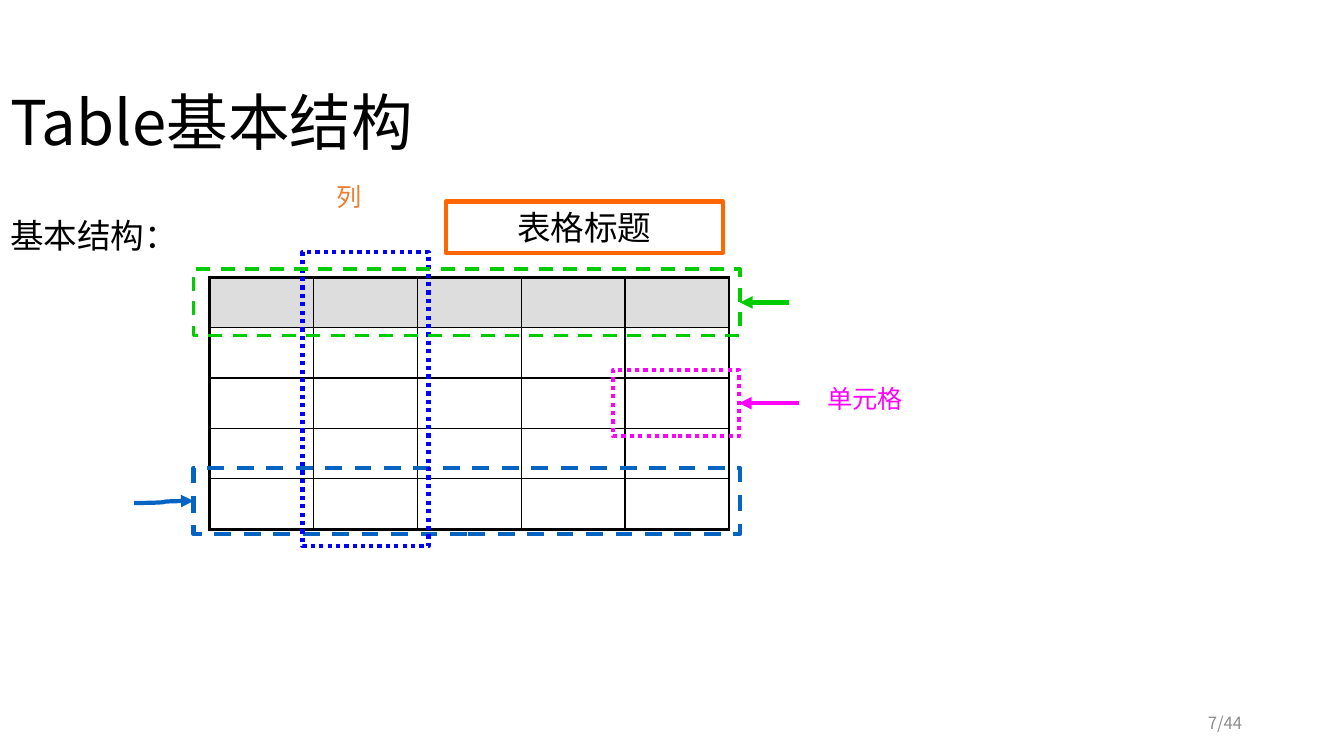
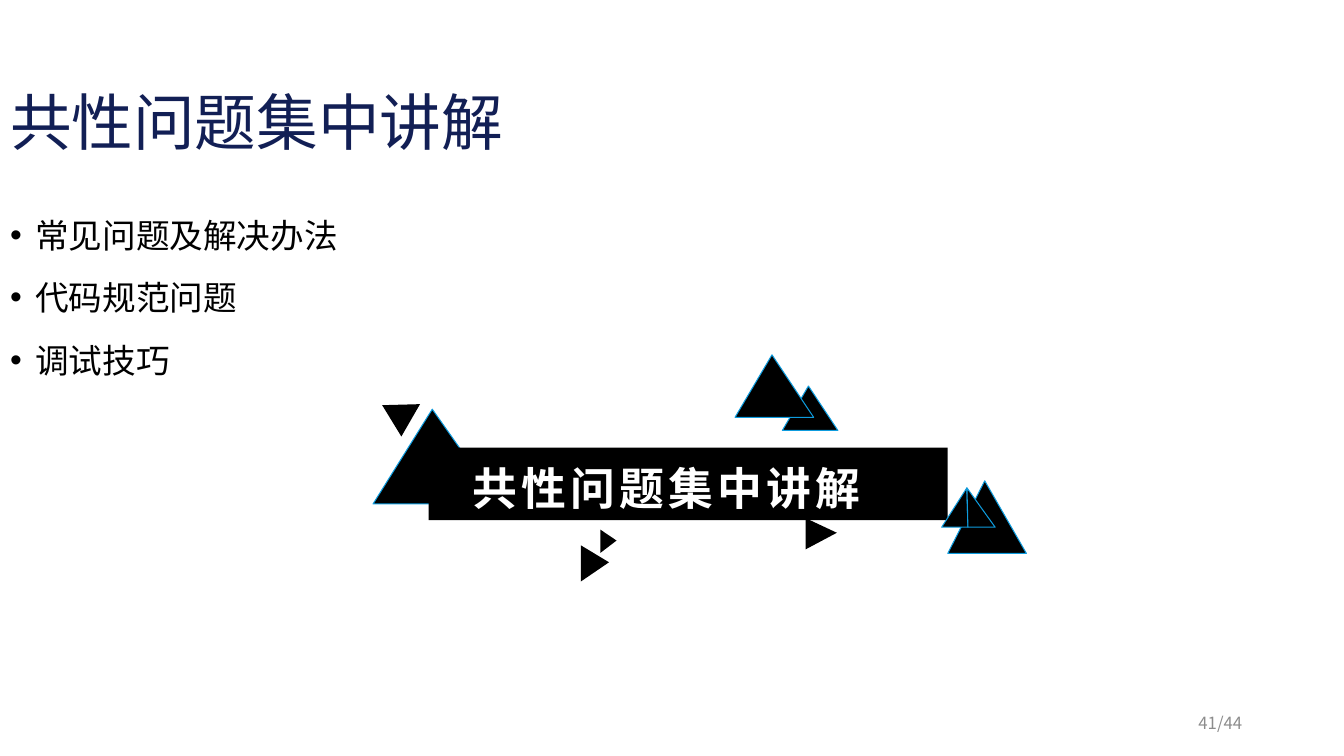
import lxml.etree
import pptx
import pptx.dml.color
import pptx.enum.dml
import pptx.enum.shapes
import pptx.enum.text
import pptx.oxml.ns
import pptx.util

PX = 9144  # 100 px to the inch
KIND = pptx.enum.shapes.MSO_SHAPE
JOIN = pptx.enum.shapes.MSO_CONNECTOR
DASH = pptx.enum.dml.MSO_LINE.DASH
DOT = pptx.enum.dml.MSO_LINE.ROUND_DOT
ALIGN = pptx.enum.text.PP_ALIGN
ANCHOR = pptx.enum.text.MSO_ANCHOR


class Theme:
    sans, mono = "Noto Sans CJK SC", "Courier New"
    black, white, gray, head = "000000", "FFFFFF", "8C8C8C", "DDDDDD"
    navy, sky, blue, pure = "121F55", "0E9CDE", "0563C1", "0000FF"
    green, pink, amber, orange = "00CC00", "FF00FF", "ED7D31", "FF6600"
    title, banner, body, label, note = 44, 32, 24, 18, 12
    thin, edge, mid, bold, hair = 1, 2.25, 2.5, 3, 0.75


# Shared places: left, top, width, height
TITLE = (0, 40, 1150, 145)
BODY = (0, 200, 1150, 476)
PAGE = (942, 695, 300, 40)
TOTAL = 44

# Slide content
TABLE = {
    "title": "Table基本结构", "color": Theme.black, "page": 7,
    "list": ["基本结构："], "bullet": False,
}
ISSUES = {
    "title": "共性问题集中讲解", "color": Theme.navy, "page": 41,
    "list": ["常见问题及解决办法", "代码规范问题", "调试技巧"], "bullet": True,
}
GRID = {"at": (208, 275), "count": 5, "cell": (103, 50)}
FRAMES = {
    "row": ((192, 464, 542, 66), Theme.blue, Theme.bold, DASH),
    "column": ((300, 250, 125, 292), Theme.pure, Theme.bold, DOT),
    "head": ((192, 267, 542, 66), Theme.green, Theme.mid, DASH),
    "cell": ((608, 367, 125, 66), Theme.pink, Theme.bold, DOT),
    "caption": ((442, 200, 275, 51), Theme.orange, Theme.bold, None),
}
ARROWS = [  # frame, start, kind, side of the frame
    ("head", (783, 300), JOIN.STRAIGHT, 3),
    ("cell", (792, 400), JOIN.STRAIGHT, 3),
    ("row", (133, 499), JOIN.CURVE, 1),
]
LABELS = [
    ("列", (275, 175, 142, 57), Theme.amber),
    ("单元格", (783, 375, 150, 57), Theme.pink),
]
CAPTION = "表格标题"
BANNER = (425, 444, 515, 72)
BACK = [  # place, turn, outlined
    ((370, 406, 125, 94), 0, True),
    ((940, 477, 78, 72), 0, True),
    ((592, 529, 23, 16), 90, False),
    ((375, 393, 37, 32), 300, False),
]
FRONT = [
    ((776, 383, 55, 44), 0, True),
    ((729, 352, 78, 62), 0, True),
    ((572, 545, 36, 28), 90, False),
    ((799, 514, 31, 31), 90, False),
]
PEAK, FOOT, ENDS = (959, 484), (960, 523), [(934, 523), (987, 523)]


def emu(*nums):
    return [round(n * PX) for n in nums]


def rgb(code):
    return pptx.dml.color.RGBColor.from_string(code)


def add(node, tag, **attrs):
    return lxml.etree.SubElement(node, pptx.oxml.ns.qn(tag), **attrs)


def write(para, text, size, color, font=Theme.sans):
    run = para.add_run()
    run.text = text
    run.font.size = pptx.util.Pt(size)
    run.font.color.rgb = rgb(color)
    run.font.name = font
    add(run.font._element, "a:ea", typeface=Theme.sans)
    return run


def place(shape, box):
    shape.left, shape.top, shape.width, shape.height = emu(*box)


def style(shape, fill=None, line=None, width=Theme.hair, dash=None):
    shape.shadow.inherit = False
    if fill:
        shape.fill.solid()
        shape.fill.fore_color.rgb = rgb(fill)
    else:
        shape.fill.background()
    if line:
        shape.line.color.rgb = rgb(line)
        shape.line.width = pptx.util.Pt(width)
        if dash:
            shape.line.dash_style = dash
    else:
        shape.line.fill.background()


def label(slide, text, box, size, color, align, font=Theme.sans):
    shape = slide.shapes.add_textbox(*emu(*box))
    shape.text_frame.word_wrap = True
    para = shape.text_frame.paragraphs[0]
    para.alignment = align
    write(para, text, size, color, font)
    return shape


def start(deck, data):
    """Add a slide with title, list and page number."""
    slide = deck.slides.add_slide(deck.slide_layouts[1])
    title, body = slide.shapes.title, slide.placeholders[1]
    place(title, TITLE)
    place(body, BODY)
    for shape, anchor in ((title, ANCHOR.MIDDLE), (body, ANCHOR.TOP)):
        shape.text_frame.vertical_anchor = anchor
        shape.text_frame.word_wrap = True
        shape.text_frame.auto_size = pptx.enum.text.MSO_AUTO_SIZE.NONE
    para = title.text_frame.paragraphs[0]
    para.alignment, para.line_spacing = ALIGN.LEFT, 1.2
    write(para, data["title"], Theme.title, data["color"])
    for i, text in enumerate(data["list"]):
        frame = body.text_frame
        para = frame.add_paragraph() if i else frame.paragraphs[0]
        para.line_spacing, para.space_before = 1.2, pptx.util.Pt(10)
        props = para._p.get_or_add_pPr()
        indent = emu(25)[0]
        props.set("marL", str(indent))
        props.set("indent", str(-indent))
        if data["bullet"]:
            add(props, "a:buFont", typeface="Arial")
            add(props, "a:buChar", char="•")
        else:
            add(props, "a:buNone")
        write(para, text, Theme.body, Theme.black)
    page = label(slide, f"{data['page']}/{TOTAL}", PAGE, Theme.note,
                 Theme.gray, ALIGN.RIGHT)
    page.text_frame.vertical_anchor = ANCHOR.MIDDLE
    page.text_frame.paragraphs[0].line_spacing = 1.2
    return slide


def border(cell, outer):
    props = cell._tc.get_or_add_tcPr()
    for side in "LRTB":
        width = Theme.edge if side in outer else Theme.thin
        line = add(props, f"a:ln{side}", w=str(pptx.util.Pt(width)))
        add(add(line, "a:solidFill"), "a:srgbClr", val=Theme.black)


def draw_grid(slide):
    count, (wide, high) = GRID["count"], GRID["cell"]
    table = slide.shapes.add_table(
        count, count, *emu(*GRID["at"], count * wide, count * high)).table
    table.first_row = table.horz_banding = False
    last = count - 1
    for i in range(count):
        table.columns[i].width, table.rows[i].height = emu(wide, high)
        for j in range(count):
            cell = table.cell(i, j)
            tests = {"L": j == 0, "R": j == last, "T": i == 0, "B": i == last}
            border(cell, [side for side, hit in tests.items() if hit])
            if i == 0:
                cell.fill.solid()
                cell.fill.fore_color.rgb = rgb(Theme.head)
            else:
                cell.fill.background()


def draw_arrow(slide, frame, color, begin, kind, side):
    line = slide.shapes.add_connector(kind, *emu(*begin, *begin))
    line.end_connect(frame, side)
    line.line.color.rgb = rgb(color)
    line.line.width = pptx.util.Pt(Theme.bold)
    add(line.line._get_or_add_ln(), "a:tailEnd", type="triangle")
    add(line._element.spPr, "a:effectLst")


def draw_table(deck):
    slide = start(deck, TABLE)
    draw_grid(slide)
    # Dashed frames and their arrows
    frames = {}
    for name, (box, color, width, dash) in FRAMES.items():
        frame = slide.shapes.add_shape(KIND.RECTANGLE, *emu(*box))
        style(frame, None, color, width, dash)
        frames[name] = frame
    for name, begin, kind, side in ARROWS:
        draw_arrow(slide, frames[name], FRAMES[name][1], begin, kind, side)
    # Labels and caption
    for text, box, color in LABELS:
        label(slide, text, box, Theme.label, color, ALIGN.CENTER, Theme.mono)
    frame = frames["caption"].text_frame
    frame.vertical_anchor = ANCHOR.TOP
    para = frame.paragraphs[0]
    para.alignment = ALIGN.CENTER
    write(para, CAPTION, Theme.body, Theme.black, Theme.mono)


def draw_peaks(slide, peaks):
    for box, turn, lined in peaks:
        peak = slide.shapes.add_shape(KIND.ISOSCELES_TRIANGLE, *emu(*box))
        peak.adjustments[0] = 0.47
        peak.rotation = turn
        style(peak, Theme.black, Theme.sky if lined else None)


def draw_issues(deck):
    slide = start(deck, ISSUES)
    draw_peaks(slide, BACK)
    # Banner
    banner = slide.shapes.add_shape(KIND.RECTANGLE, *emu(*BANNER))
    style(banner, Theme.black)
    frame = banner.text_frame
    frame.vertical_anchor = ANCHOR.TOP
    frame.margin_top, frame.margin_right = emu(13, 52)
    para = frame.paragraphs[0]
    para.alignment = ALIGN.CENTER
    run = write(para, ISSUES["title"], Theme.banner, Theme.white)
    run.font.bold = True
    run.font._element.set("spc", "300")
    draw_peaks(slide, FRONT)
    # Split peak
    for end in ENDS:
        pen = slide.shapes.build_freeform(*emu(*end), scale=1.0)
        pen.add_line_segments([emu(*PEAK), emu(*FOOT)], close=True)
        style(pen.convert_to_shape(), Theme.black, Theme.sky)


def main():
    deck = pptx.Presentation()
    deck.slide_width, deck.slide_height = emu(1333, 750)
    draw_table(deck)
    draw_issues(deck)
    deck.save("out.pptx")


if __name__ == "__main__":
    main()
